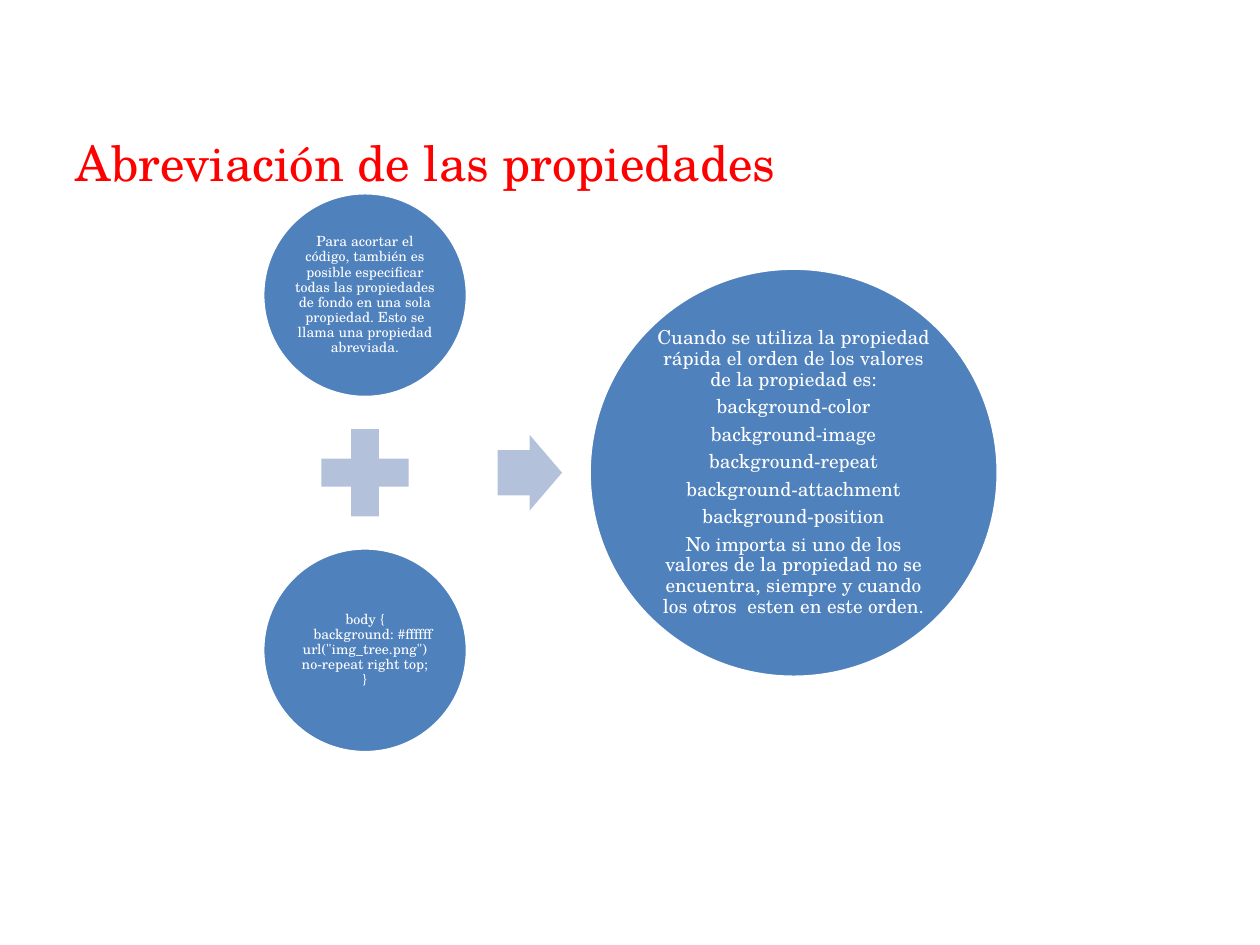
from copy import deepcopy

from pptx import Presentation
from pptx.dml.color import RGBColor
from pptx.enum.shapes import MSO_SHAPE as SHAPE
from pptx.enum.text import MSO_ANCHOR as ANCHOR, PP_ALIGN as ALIGN
from pptx.oxml.ns import qn
from pptx.util import Cm, Pt

FONT = "TeX Gyre Schola"
COLORS = {"title": "FF0000", "circle": "4F81BD", "sign": "B3C1DB", "white": "FFFFFF"}
MID_Y = 9.53
LEFT_X = 7.36
STEP_Y = 3.58

SHORTHAND = [
    "Para acortar el código, también es posible especificar todas las propiedades "
    "de fondo en una sola propiedad. Esto se llama una propiedad abreviada."
]
EXAMPLE = [
    'body {\n    background: #ffffff url("img_tree.png") no-repeat right top;\n}'
]
ORDER = [
    "Cuando se utiliza la propiedad rápida el orden de los valores de la propiedad es:",
    "background-color",
    "background-image",
    "background-repeat",
    "background-attachment",
    "background-position",
    "No importa si uno de los valores de la propiedad no se encuentra, "
    "siempre y cuando los otros  esten en este orden.",
]


def rgb(name):
    return RGBColor.from_string(COLORS[name])


def set_attrs(obj, values):
    for name, value in values.items():
        setattr(obj, name, value)


def write(tf, paragraphs, size, color, frame, layout):
    set_attrs(tf, {"word_wrap": True, **frame})
    for i, text in enumerate(paragraphs):
        p = tf.paragraphs[0] if i == 0 else tf.add_paragraph()
        p.text = text
        set_attrs(p, layout)
        for r in p.runs:
            set_attrs(r.font, {"name": FONT, "size": Pt(size)})
            r.font.color.rgb = rgb(color)
        for br in p._p.findall(qn("a:br")):
            br.insert(0, deepcopy(p.runs[0]._r.rPr))


def add_title(s, text):
    sp = s.shapes.add_textbox(Cm(1.27), Cm(2.54), Cm(22.86), Cm(2.54))
    write(sp.text_frame, [text], 28, "title", {"vertical_anchor": ANCHOR.TOP}, {})


def add_centered(s, kind, x, y, width, height, color):
    sp = s.shapes.add_shape(
        kind, Cm(x - width / 2), Cm(y - height / 2), Cm(width), Cm(height)
    )
    sp.shadow.inherit = False
    sp.fill.solid()
    sp.fill.fore_color.rgb = rgb(color)
    sp.line.fill.background()
    return sp


def add_circle(s, x, y, diameter, paragraphs, size, inset):
    sp = add_centered(s, SHAPE.OVAL, x, y, diameter, diameter, "circle")
    sp.line.color.rgb = rgb("white")
    sp.line.width = Pt(1.5)
    sides = ("left", "top", "right", "bottom")
    frame = {f"margin_{side}": Cm(inset) for side in sides}
    frame["vertical_anchor"] = ANCHOR.MIDDLE
    layout = {
        "alignment": ALIGN.CENTER,
        "line_spacing": 0.9,
        "space_after": Pt(0.35 * size),
    }
    write(sp.text_frame, paragraphs, size, "white", frame, layout)


def main():
    """Build the slide on the shorthand background property."""
    prs = Presentation()
    set_attrs(prs, {"slide_width": Cm(25.4), "slide_height": Cm(19.05)})
    s = prs.slides.add_slide(prs.slide_layouts[6])
    add_title(s, "Abreviación de las propiedades")
    add_circle(s, LEFT_X, MID_Y - STEP_Y, 4.11, SHORTHAND, 8, 0.03)
    add_centered(s, SHAPE.MATH_PLUS, LEFT_X, MID_Y, 2.39, 2.39, "sign")
    add_circle(s, LEFT_X, MID_Y + STEP_Y, 4.11, EXAMPLE, 8, 0.03)
    arrow = add_centered(s, SHAPE.RIGHT_ARROW, 10.68, MID_Y, 1.3, 1.52, "sign")
    arrow.adjustments[0] = 0.6
    add_circle(s, 16, MID_Y, 8.23, ORDER, 11, 0.04)
    prs.save("out.pptx")


if __name__ == "__main__":
    main()
